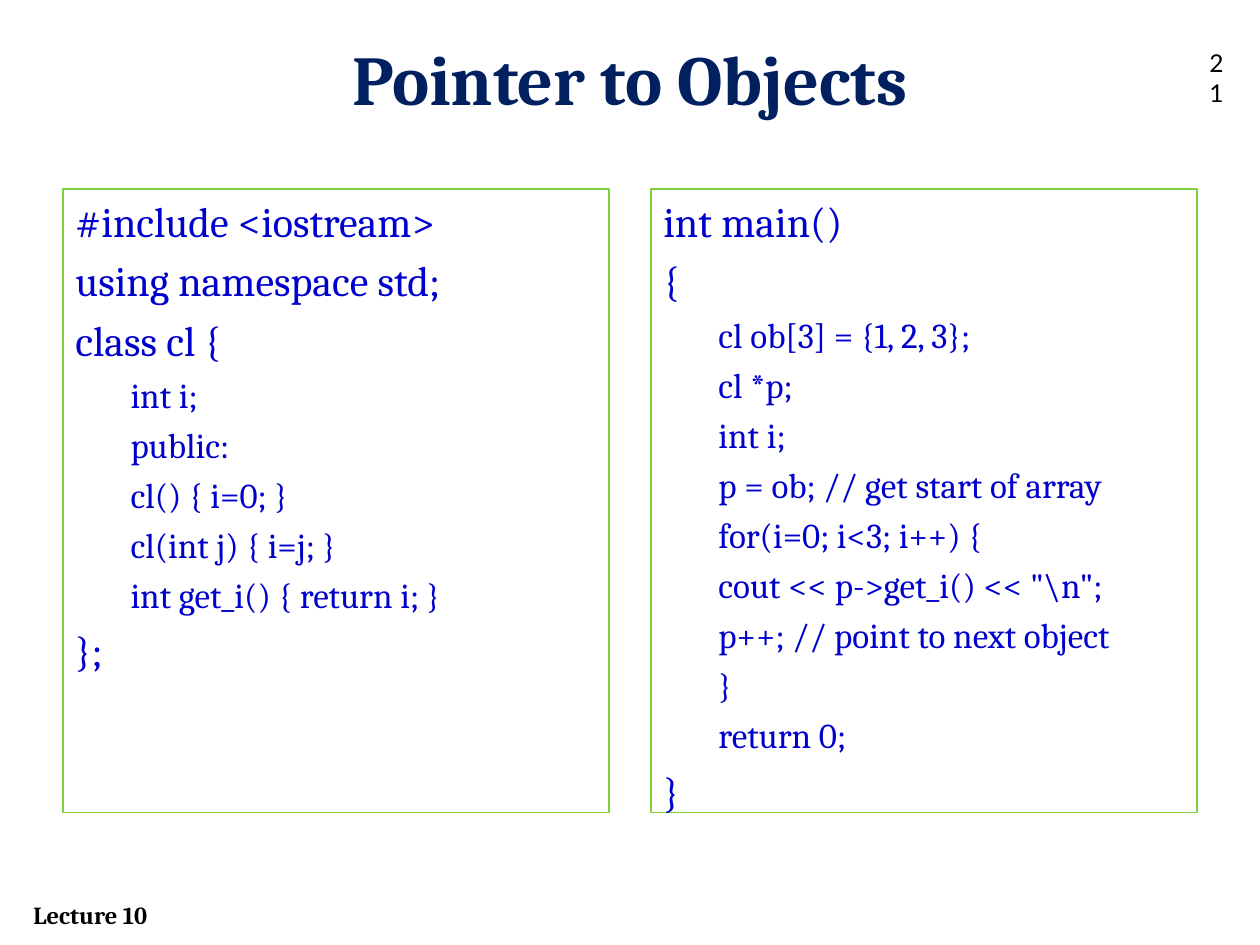
from pptx import Presentation
from pptx.dml.color import RGBColor
from pptx.enum.shapes import MSO_SHAPE
from pptx.enum.text import MSO_ANCHOR, PP_ALIGN
from pptx.util import Pt

COLORS = {"title": "002060", "code": "0000CC", "border": "7FD13B", "text": "000000"}

# Size and space before for each code level
CODE_LEVELS = {
    0: {"size": 24, "space": 5.3},
    1: {"size": 20, "space": 4.6},
}
CODE_INDENT = 31.5
PANEL_TOP, PANEL_WIDTH, PANEL_HEIGHT = 108, 312, 356.5

# Each code line is its level and its text
CLASS_CODE = [
    (0, "#include <iostream>"),
    (0, "using namespace std;"),
    (0, "class cl {"),
    (1, "int i;"),
    (1, "public:"),
    (1, "cl() { i=0; }"),
    (1, "cl(int j) { i=j; }"),
    (1, "int get_i() { return i; }"),
    (0, "};"),
]
MAIN_CODE = [
    (0, "int main()"),
    (0, "{"),
    (1, "cl ob[3] = {1, 2, 3};"),
    (1, "cl *p;"),
    (1, "int i;"),
    (1, "p = ob; // get start of array"),
    (1, "for(i=0; i<3; i++) {"),
    (1, r'cout << p->get_i() << "\n";'),
    (1, "p++; // point to next object"),
    (1, "}"),
    (1, "return 0;"),
    (0, "}"),
]


def rgb(name):
    return RGBColor.from_string(COLORS[name])


def format_font(font, color, **values):
    for attribute, value in values.items():
        setattr(font, attribute, value)
    font.color.rgb = rgb(color)


def add_label(slide, text, place, color, align=PP_ALIGN.LEFT,
              anchor=MSO_ANCHOR.TOP, **font_values):
    frame = slide.shapes.add_textbox(*map(Pt, place)).text_frame
    frame.word_wrap = True
    frame.vertical_anchor = anchor
    line = frame.paragraphs[0]
    line.alignment = align
    label = line.add_run()
    label.text = text
    format_font(label.font, color, **font_values)


def add_code_line(line, level, text, is_first):
    style = CODE_LEVELS[level]
    line.alignment = PP_ALIGN.LEFT
    line.level = level
    properties = line._p.get_or_add_pPr()
    properties.set("marL", str(Pt(CODE_INDENT * level)))
    properties.set("indent", "0")
    line.space_before = Pt(0 if is_first else style["space"])
    code = line.add_run()
    code.text = text
    format_font(code.font, "code", name="Cambria", size=Pt(style["size"]))


def add_code_panel(slide, left, code_lines):
    panel = slide.shapes.add_shape(
        MSO_SHAPE.RECTANGLE, Pt(left), Pt(PANEL_TOP), Pt(PANEL_WIDTH), Pt(PANEL_HEIGHT))
    panel.shadow.inherit = False
    panel.fill.background()
    panel.line.color.rgb = rgb("border")
    panel.line.width = Pt(0.75)
    frame = panel.text_frame
    frame.word_wrap = True
    frame.vertical_anchor = MSO_ANCHOR.TOP
    for number, (level, text) in enumerate(code_lines):
        line = frame.add_paragraph() if number else frame.paragraphs[0]
        add_code_line(line, level, text, number == 0)


def main():
    deck = Presentation()
    deck.slide_width, deck.slide_height = Pt(720), Pt(540)
    slide = deck.slides.add_slide(deck.slide_layouts[6])

    # Footer and slide number
    add_label(slide, "Lecture 10", (12, 510.5, 144, 24.5), "text",
              name="Cambria", size=Pt(14), bold=True)
    add_label(slide, "21", (684, 24, 30, 29), "text", name="Lato", size=Pt(14))

    # Code side by side
    for left, code_lines in ((36, CLASS_CODE), (372, MAIN_CODE)):
        add_code_panel(slide, left, code_lines)

    # Title
    add_label(slide, "Pointer to Objects", (36, 16.5, 648, 55.5), "title",
              PP_ALIGN.CENTER, MSO_ANCHOR.MIDDLE,
              name="Cambria", size=Pt(40), bold=True)

    deck.save("out.pptx")


if __name__ == "__main__":
    main()
